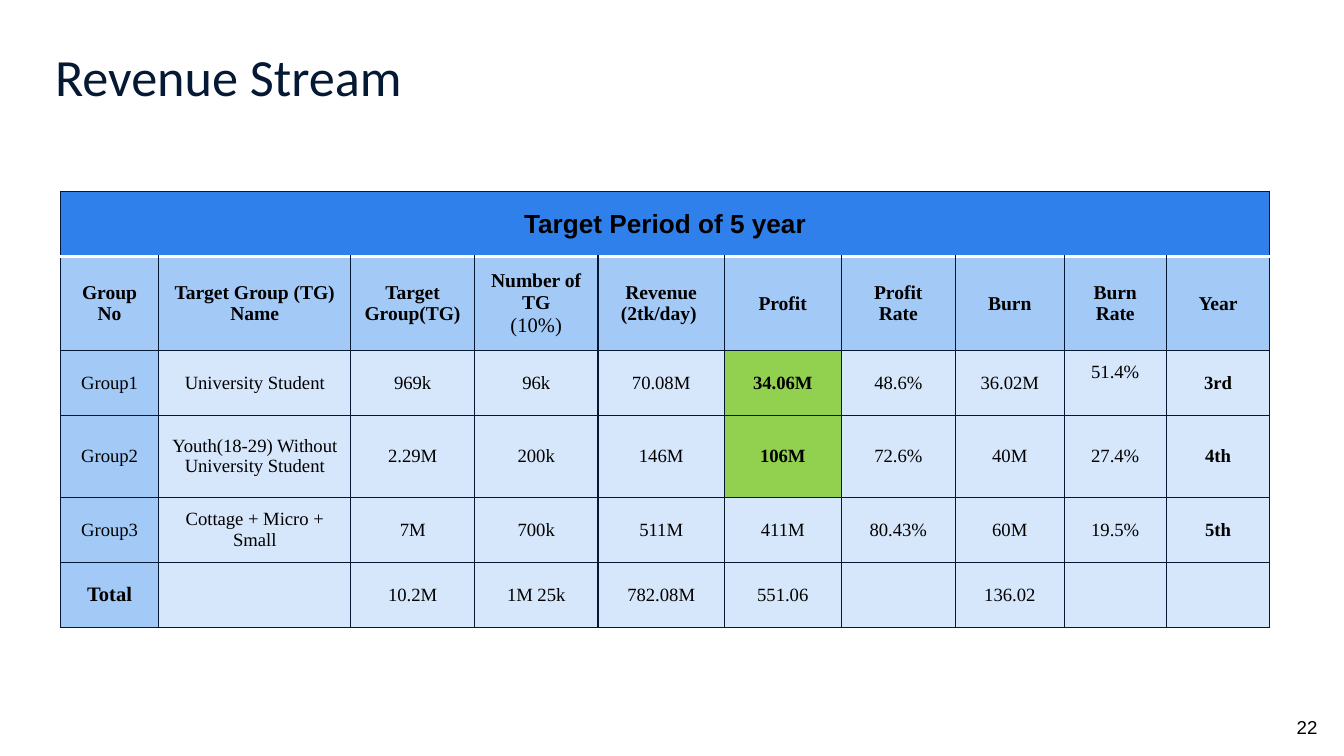
import pptx
import pptx.dml.color
import pptx.enum.text
import pptx.oxml
import pptx.oxml.ns
import pptx.util

Pt = pptx.util.Pt
PP_ALIGN = pptx.enum.text.PP_ALIGN
MIDDLE = pptx.enum.text.MSO_ANCHOR.MIDDLE

TITLE, NAVY, WHITE, BLACK = "051934", "041834", "FFFFFF", "000000"
BLUE, MID, PALE, GREEN = "3080EB", "A3CAF7", "D6E6FB", "92D050"
SERIF = "Times New Roman"

WIDTHS = [52.6, 103, 66.2, 66.2, 67.7, 62.6, 61.2, 58.3, 54.7, 55.5]
HEIGHTS = [34.8, 50.4, 34.8, 43.9, 34.8, 34.8]
HEADERS = ["Group No", "Target Group (TG)\nName", "Target Group(TG)",
           "Number of TG\n(10%)", "Revenue\n(2tk/day) ", "Profit",
           "Profit Rate", "Burn", "Burn Rate", "Year"]
ROWS = [
    ["Group1", "University Student", "969k", "96k", "70.08M", "34.06M",
     "48.6%", "36.02M", "51.4%", "3rd"],
    ["Group2", "Youth(18-29) Without University Student", "2.29M", "200k",
     "146M", "106M", "72.6%", "40M", "27.4%", "4th"],
    ["Group3", "Cottage + Micro + Small", "7M", "700k", "511M", "411M",
     "80.43%", "60M", "19.5%", "5th"],
    ["Total", "", "10.2M", "1M 25k", "782.08M", "551.06", "", "136.02",
     "", ""],
]


def rgb(value):
    """Turn a hex string into a colour."""
    return pptx.dml.color.RGBColor.from_string(value)


def put_text(tf, text, font=SERIF, size=10, color=BLACK, bold=False,
             align=PP_ALIGN.CENTER, spacing=None):
    """Write one formatted paragraph for each line of text."""
    for i, line in enumerate(text.split("\n")):
        p = tf.add_paragraph() if i else tf.paragraphs[0]
        p.alignment = align
        p.line_spacing = spacing
        r = p.add_run()
        r.text = line
        r.font.name, r.font.size, r.font.bold = font, Pt(size), bold
        r.font.color.rgb = rgb(color)


class Deck:
    """Hold the presentation, its style and the current slide."""

    def __init__(self, width, height):
        """Start a presentation of the given size."""
        self.prs = pptx.Presentation()
        self.prs.slide_width, self.prs.slide_height = Pt(width), Pt(height)
        self.border, self.border_width = NAVY, 0.75

    def slide(self, title):
        """Add a slide and format its title."""
        self.s = self.prs.slides.add_slide(self.prs.slide_layouts[5])
        sp = self.s.shapes.title
        sp.left, sp.top, sp.width, sp.height = map(Pt, (22.3, 10.8, 272.9, 66.2))
        tf = self.frame(sp, 7.2)
        put_text(tf, title, font="Calibri", size=28, color=TITLE,
                 align=PP_ALIGN.LEFT, spacing=0.8)

    def frame(self, sp, margin):
        """Set wrapping, anchor and margins of a text frame."""
        tf = sp.text_frame
        tf.word_wrap, tf.vertical_anchor = True, MIDDLE
        tf.auto_size = pptx.enum.text.MSO_AUTO_SIZE.NONE
        tf.margin_left = tf.margin_right = Pt(margin)
        tf.margin_top = tf.margin_bottom = Pt(margin)
        return tf

    def label(self, text, x, y, w, h, **style):
        """Add a text box."""
        sp = self.s.shapes.add_textbox(Pt(x), Pt(y), Pt(w), Pt(h))
        put_text(self.frame(sp, 3.6), text, **style)

    def table(self, x, y, widths, heights):
        """Add a table with the given column widths and row heights."""
        tbl = self.s.shapes.add_table(len(heights), len(widths), Pt(x), Pt(y),
                                      Pt(sum(widths)), Pt(sum(heights))).table
        for col, w in zip(tbl.columns, widths):
            col.width = Pt(w)
        for row, h in zip(tbl.rows, heights):
            row.height = Pt(h)
        return tbl

    def cell(self, cell, text, fill, edges=None, **style):
        """Fill, border and write one table cell."""
        cell.fill.solid()
        cell.fill.fore_color.rgb = rgb(fill)
        cell.vertical_anchor = MIDDLE
        pr = cell._tc.get_or_add_tcPr()
        for i, side in enumerate("LRTB"):
            color, width = (edges or {}).get(side, (self.border, self.border_width))
            pr.insert(i, pptx.oxml.parse_xml(
                f'<a:ln{side} {pptx.oxml.ns.nsdecls("a")} w="{int(Pt(width))}">'
                f'<a:solidFill><a:srgbClr val="{color}"/></a:solidFill></a:ln{side}>'))
        if text:
            put_text(cell.text_frame, text, **style)


def main():
    """Build the revenue slide."""
    deck = Deck(720, 405)
    deck.slide("Revenue Stream")
    tbl = deck.table(32.4, 102.6, WIDTHS, HEIGHTS)
    rule = (WHITE, 2)
    tbl.cell(0, 0).merge(tbl.cell(0, len(WIDTHS) - 1))
    for c, header in enumerate(HEADERS):
        deck.cell(tbl.cell(0, c), "" if c else "Target Period of 5 year", BLUE,
                  {"B": rule}, font="Arial", size=14, bold=True)
        deck.cell(tbl.cell(1, c), header, MID, {"T": rule}, size=10.5, bold=True)
    share = tbl.cell(1, HEADERS.index("Number of TG\n(10%)"))
    font = share.text_frame.paragraphs[1].runs[0].font
    font.size, font.bold = Pt(11), False

    profit, last = HEADERS.index("Profit"), len(HEADERS) - 1
    for r, values in enumerate(ROWS, 2):
        for c, value in enumerate(values):
            green = c == profit and value in ("34.06M", "106M")
            total = value == "Total"
            fill = GREEN if green else PALE if c else MID
            deck.cell(tbl.cell(r, c), value, fill, size=11 if total else 10,
                      bold=green or total or c == last)
    tbl.cell(2, HEADERS.index("Burn Rate")).margin_bottom = Pt(15.4)

    deck.label("22", 680.4, 373.7, 39.6, 31.3, font="Arial")
    deck.prs.save("out.pptx")


if __name__ == "__main__":
    main()
